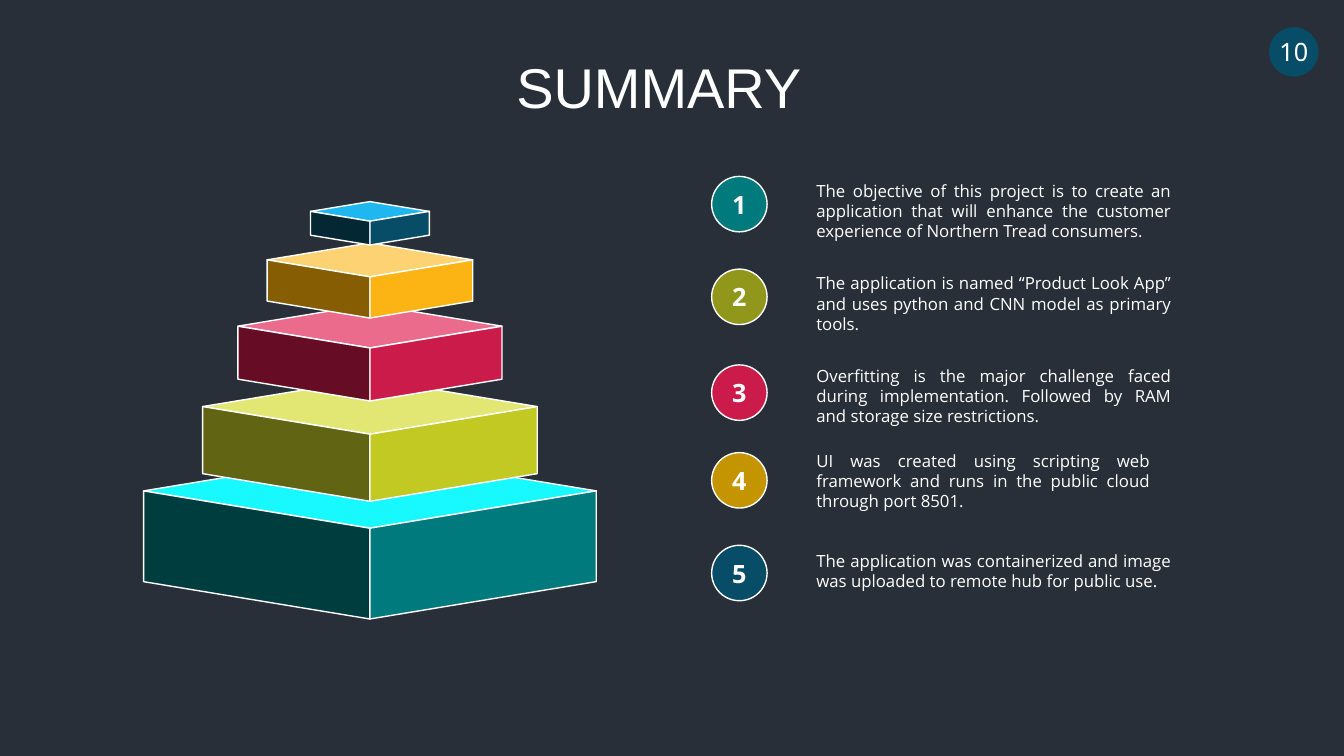
"""Builds the summary slide: a five-tier pyramid beside five numbered points."""
from dataclasses import dataclass

import pptx
import pptx.dml.color
import pptx.enum.shapes
import pptx.enum.text
import pptx.oxml.ns
import pptx.util

TITLE = "SUMMARY"
PAGE = "10"

POINTS = [
    dict(text="The objective of this project is to create an application that will enhance "
              "the customer experience of Northern Tread consumers.",
         badge_row=17.5, text_row=17.4, columns=37.2, rows=7.1, color="007A7D"),
    dict(text="The application is named “Product Look App” and uses python and CNN model "
              "as primary tools.",
         badge_row=26.7, text_row=26.6, columns=37.2, rows=7.1, color="91971A"),
    dict(text="Overfitting is the major challenge faced during implementation. Followed by "
              "RAM and storage size restrictions.",
         badge_row=36.2, text_row=35.8, columns=37.2, rows=7.1, color="CB1B4A"),
    dict(text="UI was created using scripting web framework and runs in the public cloud "
              "through port 8501.",
         badge_row=44.9, text_row=44.2, columns=35.1, rows=7.1, color="C49500"),
    dict(text="The application was containerized and image was uploaded to remote hub for "
              "public use.",
         badge_row=54.1, text_row=54.1, columns=37.2, rows=5, color="074D67"),
]

TIERS = [
    dict(row=45, columns=44.9, top="18F9FF", left="003D3E", right="007A7D"),
    dict(row=37.6, columns=33.2, top="E2E773", left="616412", right="C2C923"),
    dict(row=30.2, columns=26.2, top="EB6B8D", left="660D25", right="CB1B4A"),
    dict(row=24.1, columns=20.4, top="FDD272", left="865D02", right="FCB414"),
    dict(row=20, columns=11.8, top="1EB7F0", left="042734", right="074D67"),
]


@dataclass(frozen=True)
class Theme:
    background: str = "282F39"
    ink: str = "FFFFFF"
    page_fill: str = "074D67"
    title_font: str = "Arial"
    body_font: str = "Open Sans"
    page_font: str = "Noto Sans"
    title_size: int = 40
    badge_size: int = 18
    body_size: int = 12
    outline: int = 1


THEME = Theme()
COLUMNS, ROWS = 133.33, 75
PYRAMID_AXIS = 36.7
ROOF_RATIO, WALL_RATIO = 0.165, 0.283
BADGE_COLUMN, BADGE_SIZE = 70.6, 5.5
TEXT_COLUMN = 80

SHAPE = pptx.enum.shapes.MSO_SHAPE
ALIGN = pptx.enum.text.PP_ALIGN
ANCHOR = pptx.enum.text.MSO_ANCHOR


def grid(*cells):
    return [pptx.util.Inches(cell / 10) for cell in cells]


def rgb(color):
    return pptx.dml.color.RGBColor.from_string(color)


def add_figure(shapes, kind, cells, color, outlined=True):
    figure = shapes.add_shape(kind, *grid(*cells))
    figure.shadow.inherit = False
    figure.fill.solid()
    figure.fill.fore_color.rgb = rgb(color)
    if outlined:
        figure.line.color.rgb = rgb(THEME.ink)
        figure.line.width = pptx.util.Pt(THEME.outline)
    else:
        figure.line.fill.background()
    return figure


def write(holder, text, font, size, align, anchor=ANCHOR.TOP, bold=False, wrap=True):
    frame = holder.text_frame
    frame.word_wrap = wrap
    frame.vertical_anchor = anchor
    paragraph = frame.paragraphs[0]
    paragraph.alignment = align
    run = paragraph.add_run()
    run.text = text
    run.font.name = font
    run.font.size = pptx.util.Pt(size)
    run.font.bold = bold
    run.font.color.rgb = rgb(THEME.ink)


def add_text(slide, cells, *style):
    box = slide.shapes.add_textbox(*grid(*cells))
    write(box, *style)
    box.text_frame.auto_size = pptx.enum.text.MSO_AUTO_SIZE.SHAPE_TO_FIT_TEXT


def add_tier(slide, row, columns, top, left, right):
    block = slide.shapes.add_group_shape().shapes
    roof, wall, half = columns * ROOF_RATIO, columns * WALL_RATIO, columns / 2
    add_figure(block, SHAPE.FLOWCHART_DECISION,
               (PYRAMID_AXIS - half, row, columns, roof), top)
    middle = row + roof / 2 + wall / 2
    for side, color in ((-1, left), (1, right)):
        center = PYRAMID_AXIS + side * half / 2
        face = add_figure(block, SHAPE.PARALLELOGRAM,
                          (center - wall / 2, middle - half / 2, wall, half), color)
        face.adjustments[0] = roof / 2 / wall
        face.rotation = 90
        if side > 0:
            face._element.spPr.find(pptx.oxml.ns.qn("a:xfrm")).set("flipV", "1")


def add_point(slide, number, text, badge_row, text_row, columns, rows, color):
    badge = add_figure(slide.shapes, SHAPE.OVAL,
                       (BADGE_COLUMN, badge_row, BADGE_SIZE, BADGE_SIZE), color)
    write(badge, str(number), THEME.body_font, THEME.badge_size, ALIGN.CENTER,
          ANCHOR.MIDDLE, bold=True)
    add_text(slide, (TEXT_COLUMN, text_row, columns, rows),
             text, THEME.body_font, THEME.body_size, ALIGN.JUSTIFY)


def main():
    deck = pptx.Presentation()
    deck.slide_width, deck.slide_height = grid(COLUMNS, ROWS)
    slide = deck.slides.add_slide(deck.slide_layouts[6])
    slide.background.fill.solid()
    slide.background.fill.fore_color.rgb = rgb(THEME.background)

    add_text(slide, (27.1, 4.7, 76.5, 7.7),
             TITLE, THEME.title_font, THEME.title_size, ALIGN.CENTER)
    for tier in TIERS:
        add_tier(slide, **tier)
    for number, point in enumerate(POINTS, 1):
        add_point(slide, number, **point)
    page = add_figure(slide.shapes, SHAPE.OVAL, (125.9, 2.7, 4.9, 4.9),
                      THEME.page_fill, outlined=False)
    write(page, PAGE, THEME.page_font, THEME.badge_size, ALIGN.CENTER,
          ANCHOR.MIDDLE, wrap=False)
    deck.save("out.pptx")


if __name__ == "__main__":
    main()
